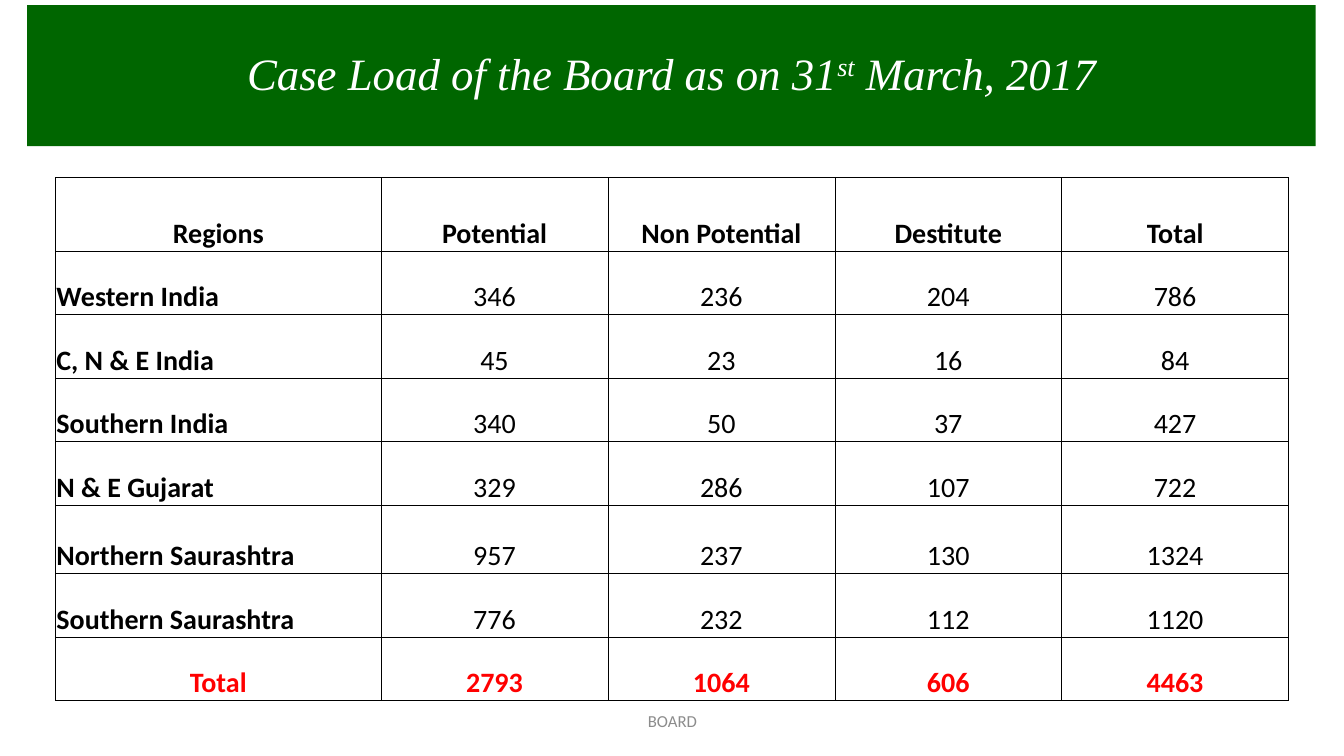
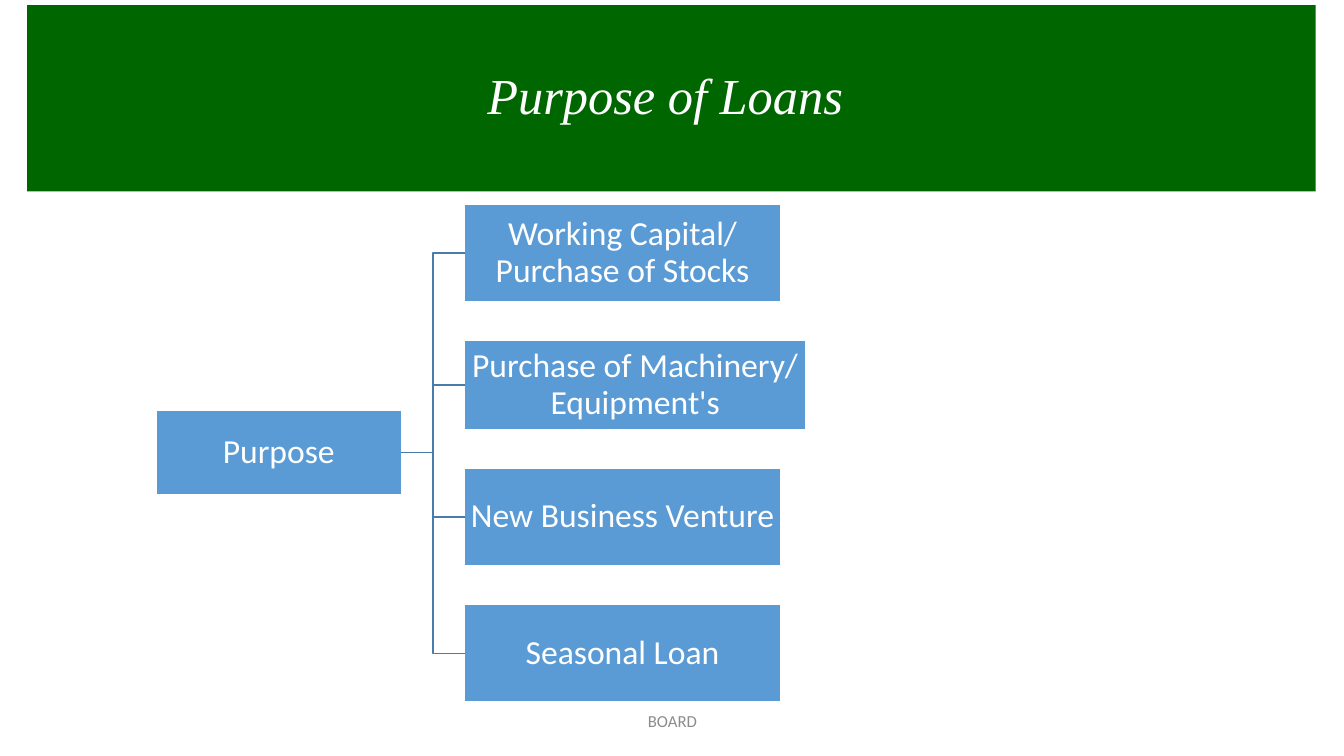
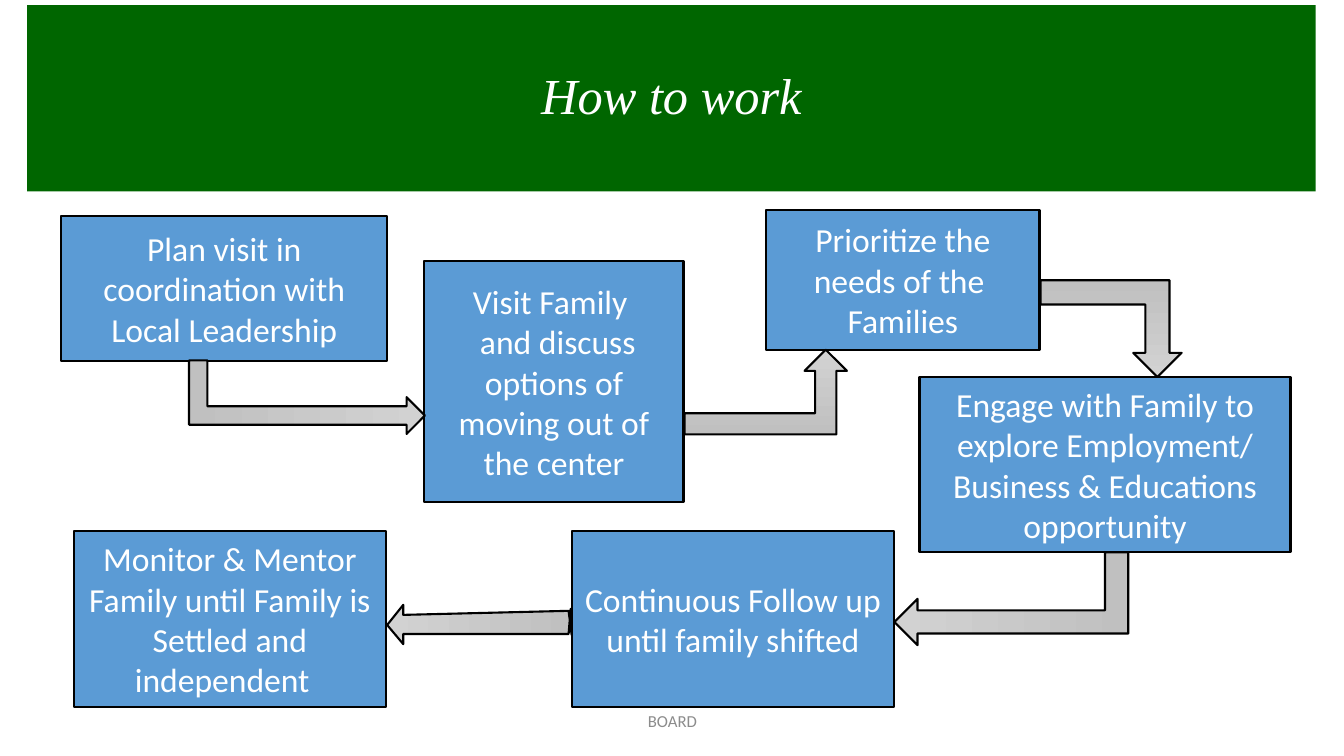
from lxml.etree import SubElement
from pptx import Presentation
from pptx.dml.color import RGBColor
from pptx.enum.shapes import MSO_CONNECTOR, MSO_SHAPE
from pptx.enum.text import MSO_ANCHOR, MSO_AUTO_SIZE, PP_ALIGN
from pptx.oxml.ns import qn
from pptx.util import Inches, Pt

GREEN = RGBColor(0x00, 0x66, 0x00)
BLUE = RGBColor(0x5B, 0x9B, 0xD5)
LINK_BLUE = RGBColor(0x49, 0x7C, 0xAB)
WHITE = RGBColor(0xFF, 0xFF, 0xFF)
BLACK = RGBColor(0x00, 0x00, 0x00)
RED = RGBColor(0xFF, 0x00, 0x00)
GREY = RGBColor(0x8C, 0x8C, 0x8C)
ARROW_LIGHT = RGBColor(0xD2, 0xD2, 0xD2)
ARROW_DARK = RGBColor(0xC0, 0xC0, 0xC0)
BODY_FONT = "Calibri"
TITLE_FONT = "Times New Roman"

FOOTER = "BOARD"
CASE_TITLE = ["Case Load of the Board as on 31", "st", " March, 2017"]
LOAN_TITLE = ["Purpose of Loans "]
WORK_TITLE = ["How to work"]

CASES = [
    ("Regions", "Potential", "Non Potential", "Destitute", "Total"),
    ("Western India", 346, 236, 204, 786),
    ("C, N & E India", 45, 23, 16, 84),
    ("Southern India", 340, 50, 37, 427),
    ("N & E Gujarat", 329, 286, 107, 722),
    ("Northern Saurashtra", 957, 237, 130, 1324),
    ("Southern Saurashtra", 776, 232, 112, 1120),
    ("Total", 2793, 1064, 606, 4463),
]
COL_WIDTHS = [3.23] + [2.25] * 4
ROW_HEIGHTS = [0.73] + [0.63] * 4 + [0.68] + [0.63] * 2

PURPOSE = ("Purpose", 1.55, 4.07, 2.43, 0.84)
LOANS = [
    ("Working Capital/ Purchase of Stocks", 3.13, 0.96),
    ("Purchase of Machinery/ Equipment's", 3.38, 0.88),
    ("New Business Venture", 3.13, 0.96),
    ("Seasonal Loan", 3.13, 0.96),
]
LOAN_LEFT, LOAN_TOP, LOAN_GAP = 4.61, 2.03, 0.39
RIGHT_SITE, LEFT_SITE = 3, 1

STEPS = [
    ("Plan visit in coordination with Local Leadership", 0.61, 2.14, 3.23, 1.44),
    ("Visit Family \n and discuss options of moving out of the center", 4.21, 2.59, 2.57, 2.39),
    ("Prioritize the needs of the  Families", 7.6, 2.08, 2.71, 1.39),
    ("Engage with Family to explore Employment/ Business & Educations opportunity",
     9.12, 3.74, 3.68, 1.74),
    ("Continuous Follow up until family shifted", 5.67, 5.27, 3.2, 1.74),
    ("Monitor & Mentor Family until Family is Settled and independent  ", 0.73, 5.27, 3.1, 1.74),
]
BENT_ARROWS = [
    (2.68, 2.77, 0.73, 2.34, 90, None),
    (6.79, 3.47, 1.61, 0.84, 0, None),
    (10.32, 2.78, 1.4, 0.96, 180, "flipH"),
    (9.57, 4.78, 0.92, 2.32, 90, "flipV"),
]
LAST_ARROW = [(5.67, 6.3), (5.64, 6.06), (4, 6.1), (4, 6), (3.84, 6.2), (4, 6.39),
              (4, 6.29), (5.64, 6.29), (5.66, 6.04)]


def style_text(tf, size, color, font=BODY_FONT, bold=False, italic=False,
               align=PP_ALIGN.CENTER, spacing=None):
    for p in tf.paragraphs:
        p.alignment = align
        if spacing:
            p.line_spacing = spacing
        for r in p.runs:
            r.font.name, r.font.size = font, Pt(size)
            r.font.bold, r.font.italic = bold, italic
            r.font.color.rgb = color


def add_slide(prs, title_runs, band_height, title_size):
    s = prs.slides.add_slide(prs.slide_layouts[5])
    title = s.shapes.title
    title.left, title.top = Inches(0.27), Inches(0.05)
    title.width, title.height = Inches(12.78), Inches(band_height)
    title.fill.solid()
    title.fill.fore_color.rgb = GREEN
    tf = title.text_frame
    tf.auto_size = MSO_AUTO_SIZE.NONE
    tf.vertical_anchor = MSO_ANCHOR.MIDDLE
    for text in title_runs:
        tf.paragraphs[0].add_run().text = text
    style_text(tf, title_size, WHITE, TITLE_FONT, italic=True, spacing=0.9)

    footer = s.shapes.add_textbox(Inches(4.42), Inches(6.95), Inches(4.5), Inches(0.4))
    tf = footer.text_frame
    tf.word_wrap = True
    tf.vertical_anchor = MSO_ANCHOR.MIDDLE
    tf.text = FOOTER
    style_text(tf, 12, GREY)
    return s


def set_line(sp, color, width):
    sp.line.color.rgb = color
    sp.line.width = Pt(width)


def add_box(s, text, left, top, width, height, line, line_width, inset=None, spacing=None):
    sp = s.shapes.add_shape(MSO_SHAPE.RECTANGLE, Inches(left), Inches(top),
                            Inches(width), Inches(height))
    sp.shadow.inherit = False
    sp.fill.solid()
    sp.fill.fore_color.rgb = BLUE
    set_line(sp, line, line_width)
    tf = sp.text_frame
    tf.word_wrap = True
    tf.vertical_anchor = MSO_ANCHOR.MIDDLE
    if inset is not None:
        tf.margin_left = tf.margin_right = tf.margin_top = tf.margin_bottom = Inches(inset)
    tf.text = text
    style_text(tf, 24, WHITE, spacing=spacing)
    return sp


def style_arrow(sp, angle):
    sp.shadow.inherit = False
    sp.fill.gradient()
    sp.fill.gradient_angle = angle
    for stop, color in zip(sp.fill.gradient_stops, (ARROW_LIGHT, ARROW_DARK)):
        stop.color.rgb = color
    set_line(sp, BLACK, 1.5)


def add_borders(cell):
    tc_pr = cell._tc.get_or_add_tcPr()
    for side in ("a:lnL", "a:lnR", "a:lnT", "a:lnB"):
        ln = SubElement(tc_pr, qn(side), w=str(Pt(0.5)))
        fill = SubElement(ln, qn("a:solidFill"))
        SubElement(fill, qn("a:srgbClr"), val=str(BLACK))


def build_case_load(prs):
    s = add_slide(prs, CASE_TITLE, 1.4, 32)
    superscript = s.shapes.title.text_frame.paragraphs[0].runs[1]
    superscript.font._element.set("baseline", "30000")
    table = s.shapes.add_table(len(CASES), len(CASES[0]), Inches(0.55), Inches(1.76),
                               Inches(sum(COL_WIDTHS)), Inches(sum(ROW_HEIGHTS))).table
    table.first_row = table.horz_banding = False
    for col, width in zip(table.columns, COL_WIDTHS):
        col.width = Inches(width)
    for row, height in zip(table.rows, ROW_HEIGHTS):
        row.height = Inches(height)
    last = len(CASES) - 1
    for i, values in enumerate(CASES):
        for j, value in enumerate(values):
            cell = table.cell(i, j)
            cell.margin_left = cell.margin_right = cell.margin_top = Inches(0.01)
            cell.margin_bottom = 0
            cell.vertical_anchor = MSO_ANCHOR.BOTTOM
            add_borders(cell)
            cell.fill.background()
            cell.text = str(value)
            edge = i in (0, last)
            style_text(cell.text_frame, 20, RED if i == last else BLACK, bold=edge or j == 0,
                       align=PP_ALIGN.CENTER if edge or j else PP_ALIGN.LEFT)


def build_loans(prs):
    s = add_slide(prs, LOAN_TITLE, 1.85, 36)
    root = add_box(s, *PURPOSE, WHITE, 1, inset=0.02, spacing=0.9)
    top = LOAN_TOP
    for text, width, height in LOANS:
        box = add_box(s, text, LOAN_LEFT, top, width, height, WHITE, 1, inset=0.02, spacing=0.9)
        link = s.shapes.add_connector(MSO_CONNECTOR.ELBOW, 0, 0, 0, 0)
        link.begin_connect(root, RIGHT_SITE)
        link.end_connect(box, LEFT_SITE)
        set_line(link, LINK_BLUE, 1)
        SubElement(link._element.spPr, qn("a:effectLst"))
        top += height + LOAN_GAP


def build_steps(prs):
    s = add_slide(prs, WORK_TITLE, 1.85, 36)
    for step in STEPS:
        add_box(s, *step, BLACK, 1.5)
    for left, top, width, height, rotation, flip in BENT_ARROWS:
        arrow = s.shapes.add_shape(MSO_SHAPE.BENT_UP_ARROW, Inches(left), Inches(top),
                                   Inches(width), Inches(height))
        arrow.rotation = rotation
        if flip:
            arrow._element.spPr.find(qn("a:xfrm")).set(flip, "1")
        style_arrow(arrow, 270)
    points = [(Inches(x), Inches(y)) for x, y in LAST_ARROW]
    outline = s.shapes.build_freeform(*points[0])
    outline.add_line_segments(points[1:], close=True)
    style_arrow(outline.convert_to_shape(), 0)


def main():
    prs = Presentation()
    prs.slide_width, prs.slide_height = Inches(13.33), Inches(7.5)
    build_case_load(prs)
    build_loans(prs)
    build_steps(prs)
    prs.save("out.pptx")


if __name__ == "__main__":
    main()
